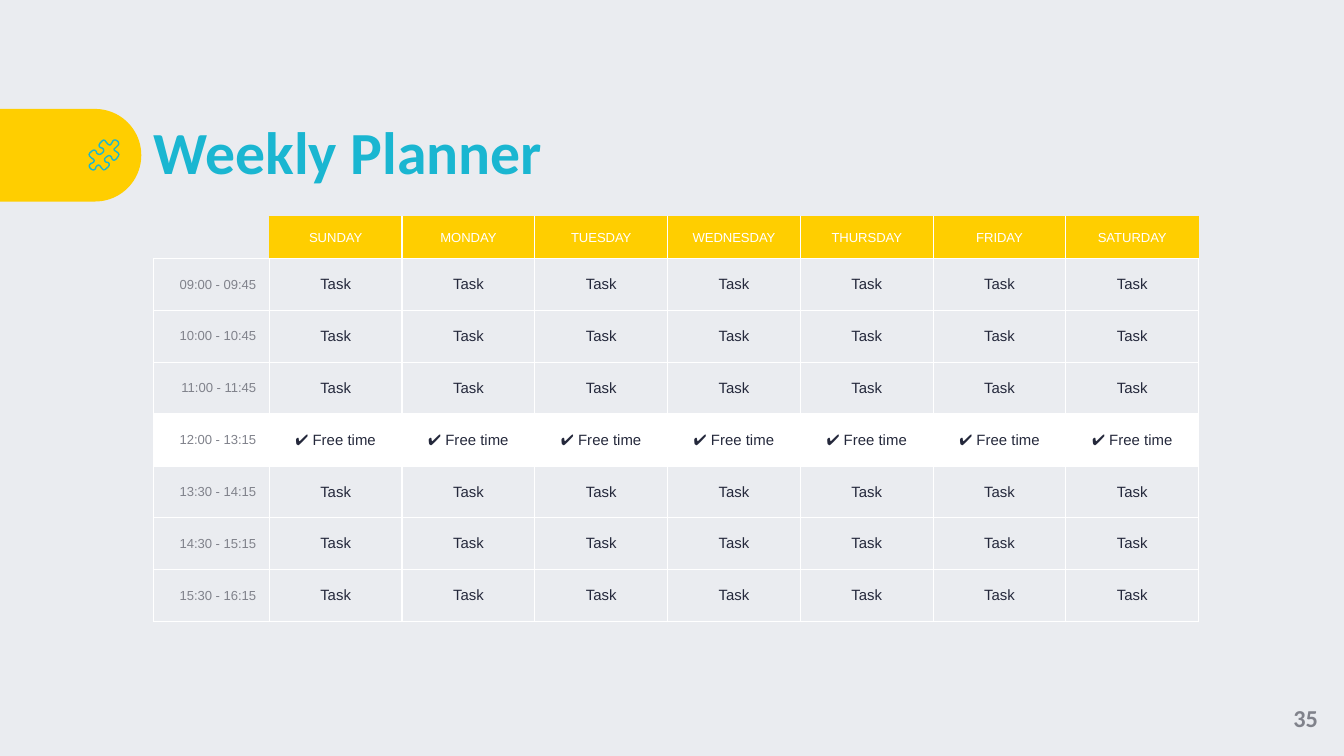
import pptx
import pptx.dml.color
import pptx.enum.shapes
import pptx.enum.text
import pptx.oxml
import pptx.oxml.ns
import pptx.util
from pptx.util import Cm

COLORS = {
    "background": "EAECF0",
    "yellow": "FFCE00",
    "cyan": "1AB6D1",
    "gray": "80828B",
    "dark": "24283B",
    "white": "FFFFFF",
}
ALIGN = pptx.enum.text.PP_ALIGN
MIDDLE = pptx.enum.text.MSO_ANCHOR.MIDDLE
DAYS = ["SUNDAY", "MONDAY", "TUESDAY", "WEDNESDAY", "THURSDAY", "FRIDAY", "SATURDAY"]
SLOTS = {
    "09:00 - 09:45": "Task",
    "10:00 - 10:45": "Task",
    "11:00 - 11:45": "Task",
    "12:00 - 13:15": "✔ Free time",
    "13:30 - 14:15": "Task",
    "14:30 - 15:15": "Task",
    "15:30 - 16:15": "Task",
}
ICON_UNIT = Cm(2.54) / 100
PUZZLE_OUTLINE = [
    (86, 110), (87, 109), (88, 108), (88.4, 107), (88, 105.5), (87, 104.7),
    (86, 104.2), (85, 104.2), (84, 105), (83.5, 106), (83, 107), (82, 108),
    (81, 107.7), (80, 107), (79, 105.7), (78, 104.5), (77, 104.2), (76, 105),
    (74.5, 106.5), (73.8, 108), (74, 109.2), (75, 110), (76, 110.2), (77, 111),
    (77.3, 112), (77, 113), (76, 114), (75, 114.7), (74, 115), (73, 114.7),
    (72, 114), (71.8, 113), (71, 112), (70, 111.7), (69, 112), (67, 113.7),
    (66.3, 115), (66.7, 116.2), (68, 117.5), (69.5, 118.5), (70.2, 119.5),
    (69.8, 120.5), (69, 121.2), (67.5, 121.8), (66.5, 123), (66.5, 124),
    (67, 125), (68, 126), (69, 126.4), (70, 126.4), (71, 125.7), (71.6, 124),
    (72.5, 123.2), (73.5, 122.8), (74.5, 123.5), (76, 125.5), (77, 126.4),
    (78, 126.3), (79, 125.6), (80.5, 124.3), (81.3, 123), (81.2, 121.7),
    (80.5, 121), (79, 120.7), (78.2, 120), (77.8, 119), (78, 118),
    (79, 117), (80, 116.3), (81, 115.8), (82, 116), (83, 117), (83.4, 118.2),
    (84, 119), (85, 119.3), (86, 118.8), (87, 117.8), (88, 116.3),
    (88.5, 115), (88, 114), (86.5, 112.8), (85.2, 112), (84.9, 111),
]


def color(name):
    return pptx.dml.color.RGBColor.from_string(COLORS[name])


def write(frame, text, size, font, shade, align, bold=False):
    para = frame.paragraphs[0]
    para.alignment = align
    span = para.add_run()
    span.text = text
    span.font.size = pptx.util.Pt(size)
    span.font.name = font
    span.font.bold = bold
    span.font.color.rgb = color(shade)
    return para


def clear_margins(frame):
    frame.margin_left = frame.margin_right = 0
    frame.margin_top = frame.margin_bottom = 0
    frame.vertical_anchor = MIDDLE
    frame.word_wrap = True


def add_title(page, text):
    title = page.shapes.title
    title.left, title.top = Cm(2.9), Cm(2.06)
    title.width, title.height = Cm(20.02), Cm(1.75)
    clear_margins(title.text_frame)
    title.text_frame.auto_size = pptx.enum.text.MSO_AUTO_SIZE.NONE
    para = write(title.text_frame, text, 32, "Calibri", "cyan", ALIGN.LEFT, True)
    para.line_spacing = 0.9


def add_page_number(page, text):
    box = page.shapes.add_textbox(Cm(23.95), Cm(12.85), Cm(1.45), Cm(1.42))
    clear_margins(box.text_frame)
    write(box.text_frame, text, 13, "Calibri", "gray", ALIGN.CENTER, True)


def add_side_tab(page):
    tab = page.shapes.add_shape(
        pptx.enum.shapes.MSO_SHAPE.ROUND_2_SAME_RECTANGLE,
        Cm(0.46), Cm(1.6), Cm(1.75), Cm(2.67))
    tab.rotation = 90
    tab.adjustments[0] = 0.5
    tab.shadow.inherit = False
    tab.fill.solid()
    tab.fill.fore_color.rgb = color("yellow")
    tab.line.fill.background()


def add_puzzle_icon(page):
    points = [(x * ICON_UNIT, y * ICON_UNIT) for x, y in PUZZLE_OUTLINE]
    builder = page.shapes.build_freeform(*points[0])
    builder.add_line_segments(points[1:], close=True)
    icon = builder.convert_to_shape()
    icon.shadow.inherit = False
    icon.fill.background()
    icon.line.color.rgb = color("cyan")
    icon.line.width = pptx.util.Pt(0.75)


def set_borders(cell, left="white", right="white", top="white", bottom="white"):
    properties = cell._tc.get_or_add_tcPr()
    sides = {"lnL": left, "lnR": right, "lnT": top, "lnB": bottom}
    for index, (tag, shade) in enumerate(sides.items()):
        paint = (f'<a:solidFill><a:srgbClr val="{COLORS[shade]}"/></a:solidFill>'
                 if shade else "<a:noFill/>")
        border = pptx.oxml.parse_xml(
            f'<a:{tag} {pptx.oxml.ns.nsdecls("a")} w="9525">{paint}</a:{tag}>')
        properties.insert(index, border)


def fill_cell(cell, text, size, shade, align, fill=None):
    cell.vertical_anchor = MIDDLE
    cell.margin_left = cell.margin_right = Cm(0.25)
    cell.margin_top = cell.margin_bottom = Cm(0.25)
    if fill:
        cell.fill.solid()
        cell.fill.fore_color.rgb = color(fill)
    else:
        cell.fill.background()
    if text:
        write(cell.text_frame, text, size, "Arial", shade, align)
    else:
        cell.text_frame.paragraphs[0]._p.get_or_add_endParaRPr().set("sz", str(size * 100))


def add_planner(page):
    rows, columns = len(SLOTS) + 1, len(DAYS) + 1
    table = page.shapes.add_table(
        rows, columns, Cm(2.9), Cm(4.09), Cm(19.76), Cm(7.65)).table
    table.first_row = False
    table.horz_banding = False
    for index, column in enumerate(table.columns):
        column.width = Cm(2.51) if index else Cm(2.19)
    for index, row in enumerate(table.rows):
        row.height = Cm(0.98) if index else Cm(0.79)

    corner = table.cell(0, 0)
    fill_cell(corner, "", 7, "gray", ALIGN.CENTER)
    set_borders(corner, left=None, right="yellow", top=None)
    for index, day in enumerate(DAYS, 1):
        cell = table.cell(0, index)
        fill_cell(cell, day, 7, "white", ALIGN.CENTER, "yellow")
        set_borders(cell, top="yellow",
                    left="yellow" if index == 1 else "white",
                    right="yellow" if index == len(DAYS) else "white")
    for row, (slot, activity) in enumerate(SLOTS.items(), 1):
        fill = None if activity == "Task" else "white"
        fill_cell(table.cell(row, 0), slot, 7, "gray", ALIGN.RIGHT, fill)
        for column in range(1, columns):
            fill_cell(table.cell(row, column), activity, 8, "dark", ALIGN.CENTER, fill)
        for column in range(columns):
            set_borders(table.cell(row, column))


def main():
    deck = pptx.Presentation()
    deck.slide_width, deck.slide_height = Cm(25.4), Cm(14.29)
    page = deck.slides.add_slide(deck.slide_layouts[5])
    page.background.fill.solid()
    page.background.fill.fore_color.rgb = color("background")
    add_side_tab(page)
    add_title(page, "Weekly Planner")
    add_page_number(page, "35")
    add_planner(page)
    add_puzzle_icon(page)
    deck.save("out.pptx")


if __name__ == "__main__":
    main()
